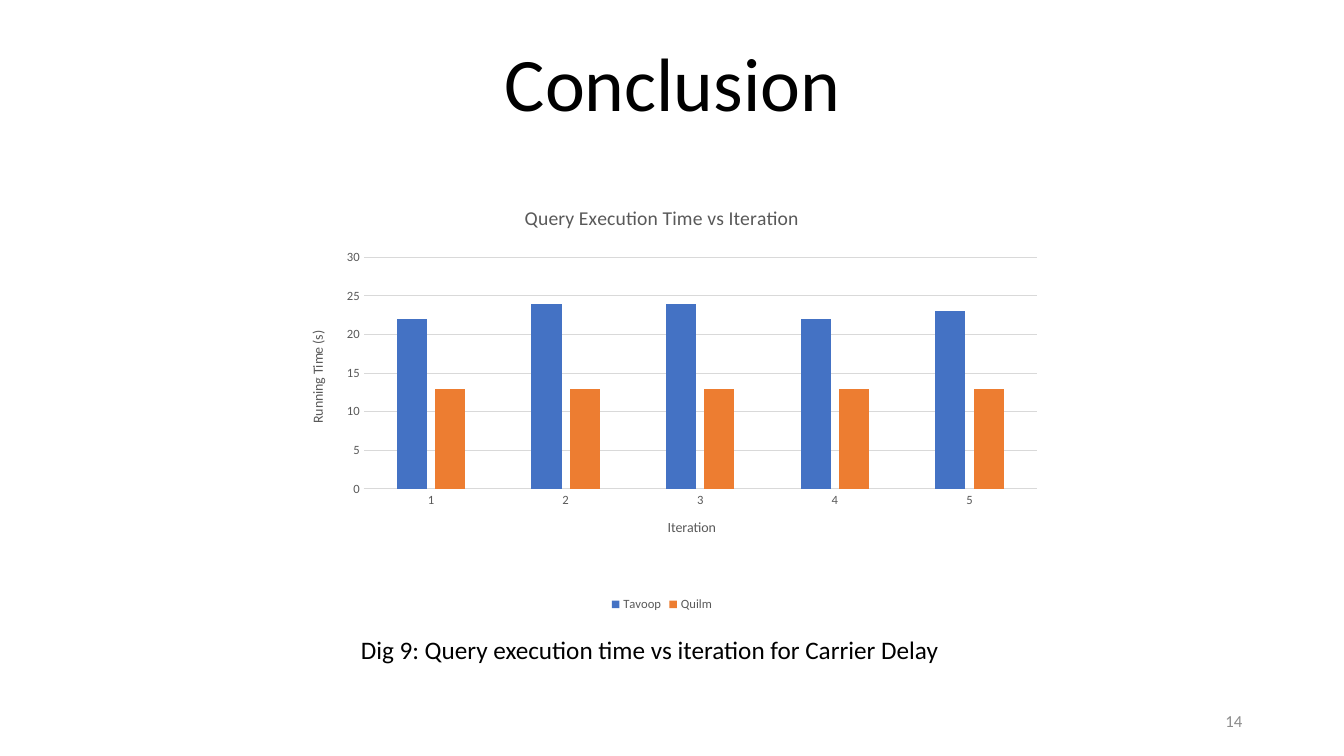
import pptx
import pptx.util
import pptx.chart.data
import pptx.dml.color
import pptx.enum.chart
import pptx.enum.text
import pptx.oxml
import pptx.oxml.ns

Inches, Pt = pptx.util.Inches, pptx.util.Pt
ALIGN = pptx.enum.text.PP_ALIGN
ANCHOR = pptx.enum.text.MSO_ANCHOR
CHART = pptx.enum.chart

THEME = {
    "font": "Calibri",
    "ink": "000000", "soft": "595959", "pale": "8C8C8C", "grid": "D9D9D9",
    "head": 54, "note": 18, "page": 12, "title": 14, "axis": 10, "tick": 9,
}

# words, box, size, colour, alignment, anchor, line spacing
TEXTS = [
    ("Conclusion", (1.67, 0.34, 10, 0.98), "head", "ink",
     ALIGN.CENTER, ANCHOR.BOTTOM, 0.9),
    ("Dig 9: Query execution time vs iteration for Carrier Delay",
     (3.48, 6.24, 7.05, 0.4), "note", "ink", ALIGN.LEFT, ANCHOR.TOP, 1),
    ("14", (9.42, 6.95, 3, 0.4), "page", "pale",
     ALIGN.RIGHT, ANCHOR.MIDDLE, 1),
]

TIMES = {
    "box": (2.6, 1.86, 7.93, 4.25),
    "plot": {"x": 0.127, "y": 0.163, "w": 0.842, "h": 0.541},
    "cats": ["1", "2", "3", "4", "5"],
    "series": [("Tavoop", [22, 24, 24, 22, 23], "4472C4"),
               ("Quilm", [13, 13, 13, 13, 13], "ED7D31")],
    "title": ("Query Execution Time vs Iteration", {"x": 0.324, "y": 0.03}),
    "across": ("Iteration", {"x": 0.504, "y": 0.767}),
    "up": ("Running Time (s)", {"x": 0.055, "y": 0.328}),
}


def color(name):
    return pptx.dml.color.RGBColor.from_string(THEME.get(name, name))


def style(font, size, tint):
    font.name = THEME["font"]
    font.size = Pt(THEME[size])
    font.bold = False
    font.color.rgb = color(tint)


def rule(line):
    line.color.rgb = color("grid")
    line.width = Pt(0.75)


def write(para, words, size, tint):
    run = para.add_run()
    run.text = words
    style(run.font, size, tint)


def place(node, index, spots, inner=False):
    """Give a chart part a manual layout, in fractions of the chart."""
    for old in node.findall(pptx.oxml.ns.qn("c:layout")):
        node.remove(old)
    tags = '<c:layoutTarget val="inner"/>' if inner else ""
    tags += "".join(f'<c:{k}Mode val="edge"/>' for k in "xy")
    tags += "".join(f'<c:{k} val="{v}"/>' for k, v in spots.items())
    node.insert(index, pptx.oxml.parse_xml(
        f'<c:layout {pptx.oxml.ns.nsdecls("c")}><c:manualLayout>'
        f'{tags}</c:manualLayout></c:layout>'))


def label(title, part, size, turn=0):
    words, spots = part
    frame = title.text_frame
    write(frame.paragraphs[0], words, size, "soft")
    body = frame._txBody.bodyPr
    body.set("rot", str(turn * 60000))
    body.set("vert", "horz")
    place(title._element, 1, spots)


def add_text(slide, words, box, size, tint, align, anchor, space):
    frame = slide.shapes.add_textbox(*map(Inches, box)).text_frame
    frame.word_wrap = True
    frame.vertical_anchor = anchor
    para = frame.paragraphs[0]
    para.alignment = align
    para.line_spacing = space
    write(para, words, size, tint)


def add_times(slide):
    data = pptx.chart.data.CategoryChartData()
    data.categories = TIMES["cats"]
    for name, vals, _ in TIMES["series"]:
        data.add_series(name, vals)
    chart = slide.shapes.add_chart(
        CHART.XL_CHART_TYPE.COLUMN_CLUSTERED,
        *map(Inches, TIMES["box"]), data).chart
    style(chart.font, "axis", "ink")
    label(chart.chart_title, TIMES["title"], "title")
    chart.chart_title.include_in_layout = False

    plot = chart.plots[0]
    plot.gap_width, plot.overlap = 219, -27
    plot.vary_by_categories = False
    for bar, (_, _, tint) in zip(plot.series, TIMES["series"]):
        bar.format.fill.solid()
        bar.format.fill.fore_color.rgb = color(tint)
    place(chart._chartSpace.chart.plotArea, 0, TIMES["plot"], inner=True)

    cat, val = chart.category_axis, chart.value_axis
    for axis, key, turn in ((cat, "across", 0), (val, "up", -90)):
        label(axis.axis_title, TIMES[key], "axis", turn)
        style(axis.tick_labels.font, "tick", "soft")
        axis.major_tick_mark = CHART.XL_TICK_MARK.NONE
        axis.minor_tick_mark = CHART.XL_TICK_MARK.NONE
    rule(cat.format.line)
    val.format.line.fill.background()
    val.has_major_gridlines = True
    rule(val.major_gridlines.format.line)
    val.minimum_scale, val.maximum_scale, val.major_unit = 0, 30, 5

    chart.has_legend = True
    chart.legend.position = CHART.XL_LEGEND_POSITION.BOTTOM
    chart.legend.include_in_layout = False
    style(chart.legend.font, "tick", "soft")


def main():
    deck = pptx.Presentation()
    deck.slide_width, deck.slide_height = Inches(13.33), Inches(7.5)
    slide = deck.slides.add_slide(deck.slide_layouts[6])
    add_times(slide)
    for item in TEXTS:
        add_text(slide, *item)
    deck.save("out.pptx")


if __name__ == "__main__":
    main()
